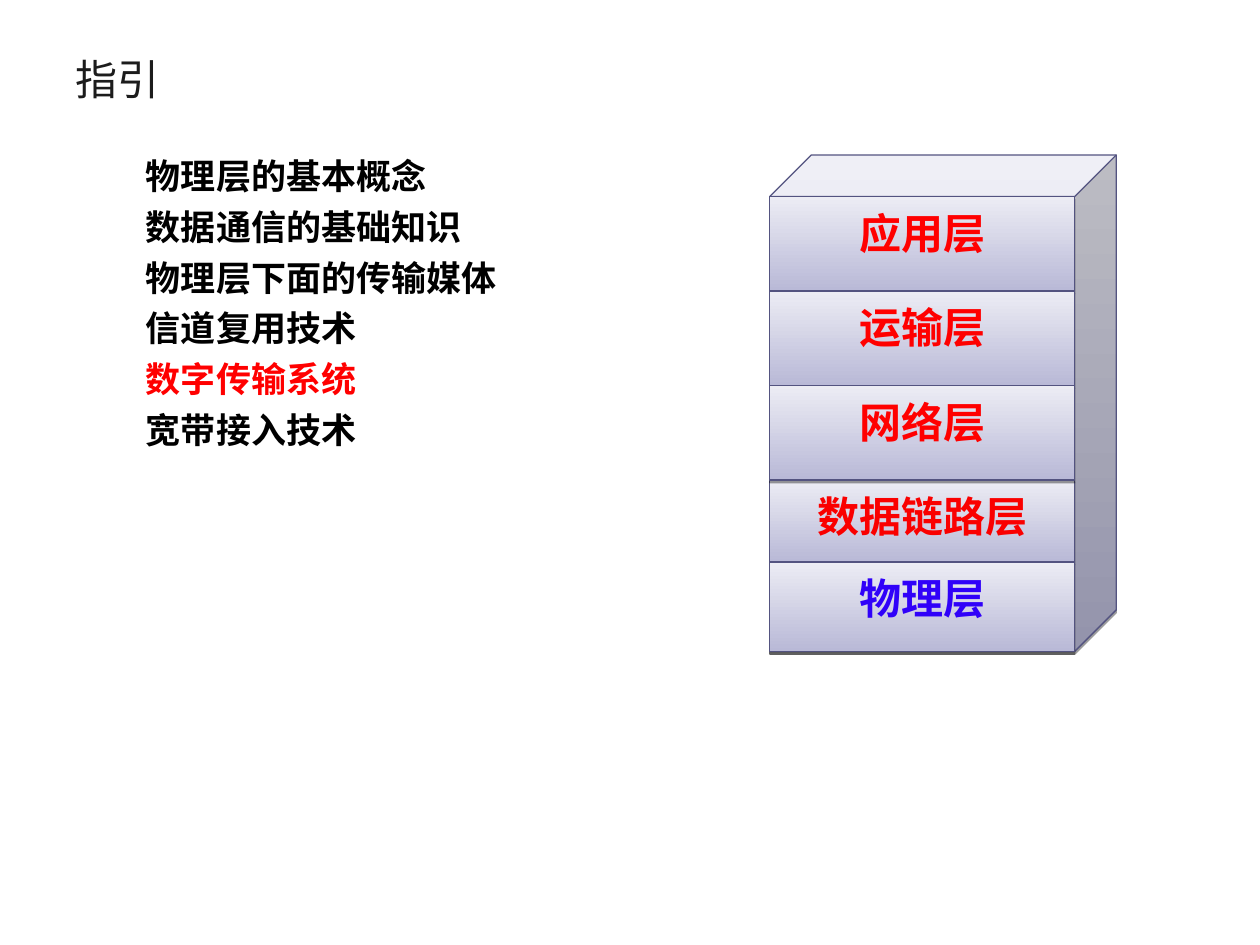
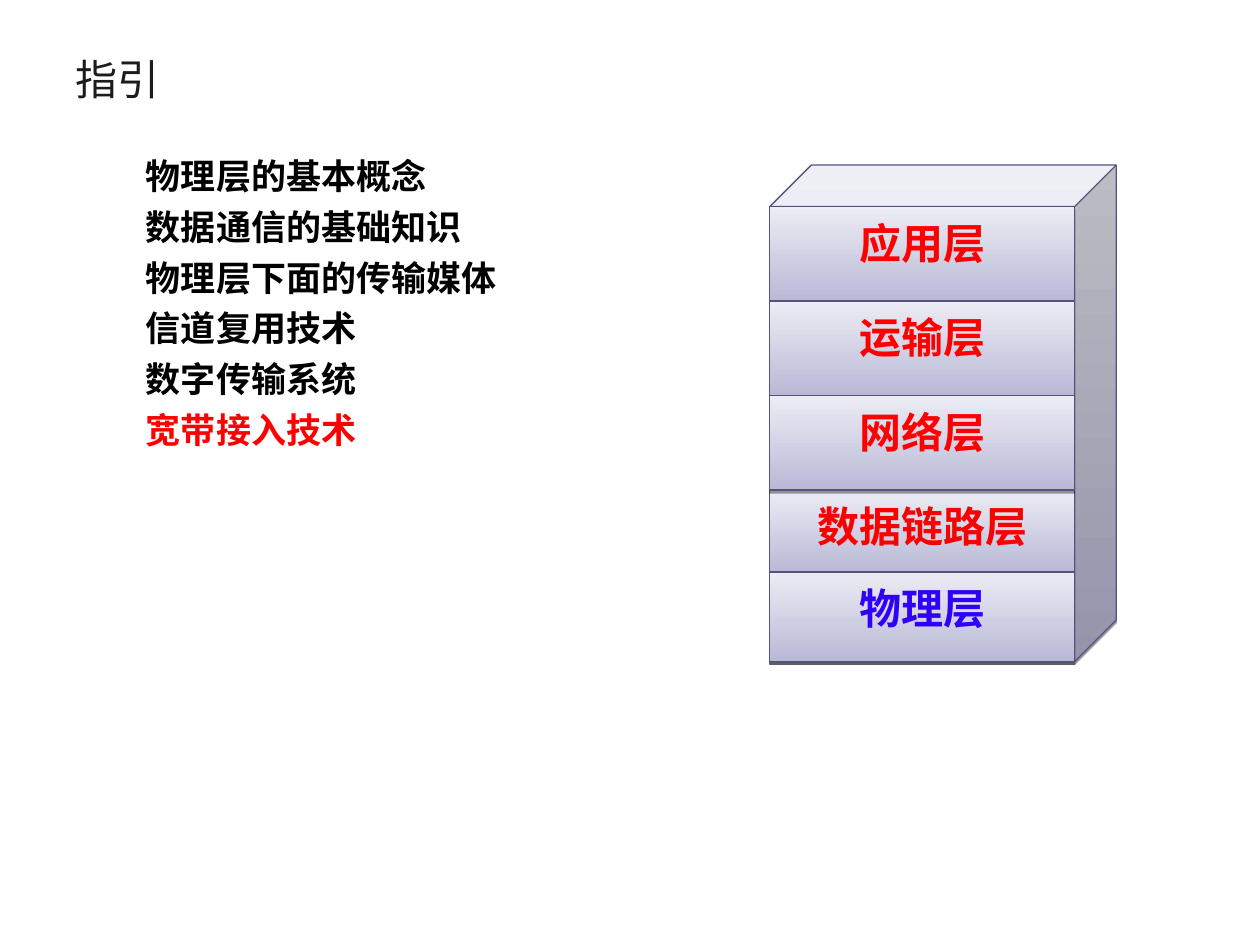
from dataclasses import dataclass

from lxml.etree import SubElement
from pptx import Presentation
from pptx.dml.color import RGBColor
from pptx.enum.shapes import MSO_CONNECTOR, MSO_SHAPE
from pptx.enum.text import MSO_ANCHOR, PP_ALIGN
from pptx.oxml.ns import qn
from pptx.util import Inches, Pt

# The slide is a grid of 100 columns by 75 rows of square cells.
CELL = Inches(0.1)
COLUMNS, ROWS = 100, 75

FONT = "Noto Sans CJK SC"
TITLE_INK = RGBColor(0x1C, 0x1C, 0x1C)
BLACK = RGBColor(0x00, 0x00, 0x00)
RED = RGBColor(0xFF, 0x00, 0x00)
LINK_RED = RGBColor(0xFA, 0x00, 0x00)
BLUE = RGBColor(0x30, 0x01, 0xF9)
OUTLINE = RGBColor(0x53, 0x53, 0x80)
LAVENDER = RGBColor(0xB9, 0xB9, 0xD7)
PALE_LAVENDER = RGBColor(0xEC, 0xEC, 0xF4)

LINE_HEIGHT = 1.2
CUBE_DEPTH = 0.12

TOPICS = ["物理层的基本概念", "数据通信的基础知识", "物理层下面的传输媒体",
          "信道复用技术", "数字传输系统", "宽带接入技术"]


@dataclass
class Box:
    """An area in grid cells."""
    left: float
    top: float
    width: float
    height: float

    def lengths(self):
        return [round(value * CELL)
                for value in (self.left, self.top, self.width, self.height)]

    def edge(self, side):
        """The two end points of one side, as lengths."""
        left, top, width, height = self.lengths()
        right, bottom = left + width, top + height
        return {"top": (left, top, right, top),
                "bottom": (left, bottom, right, bottom),
                "left": (left, top, left, bottom),
                "right": (right, top, right, bottom)}[side]


@dataclass
class Layer:
    name: str
    rows: float
    color: RGBColor
    edges: tuple


SIDES = ("left", "right")
LAYERS = [Layer("应用层", 7.5, RED, ("bottom", *SIDES)),
          Layer("运输层", 7.5, RED, ("bottom", *SIDES)),
          Layer("网络层", 7.5, RED, SIDES),
          Layer("数据链路层", 6.5, LINK_RED, ("top", *SIDES)),
          Layer("物理层", 7.1, BLUE, ())]
# The link layer lies behind the network layer, whose shadow falls on it.
DRAWING_ORDER = [0, 1, 3, 2, 4]

TITLE_BOX = Box(5, 3, 90, 6.1)
TOPICS_BOX = Box(6.7, 11.5, 85, 51.2)


def write_text(shape, lines, *, size, colors, bold=False, indent=0,
               space_before=0, align=PP_ALIGN.LEFT, anchor=MSO_ANCHOR.TOP):
    frame = shape.text_frame
    frame.word_wrap = True
    frame.vertical_anchor = anchor
    frame.margin_left = frame.margin_right = Inches(0.1)
    frame.margin_top = Inches(0.05) + Pt(size * 0.1)
    frame.margin_bottom = Inches(0.05)
    for index, (line, color) in enumerate(zip(lines, colors)):
        paragraph = frame.add_paragraph() if index else frame.paragraphs[0]
        paragraph.alignment = align
        paragraph.line_spacing = Pt(size * LINE_HEIGHT)
        paragraph.space_before = Pt(space_before if index else 0)
        paragraph._p.get_or_add_pPr().set("marL", str(indent))
        run = paragraph.add_run()
        run.text = line
        run.font.size = Pt(size)
        run.font.bold = bold
        run.font.color.rgb = color
        run.font.name = FONT
        SubElement(run._r.get_or_add_rPr(), qn("a:ea"), typeface=FONT)


def add_shadow(shape):
    """Give the shape a thin, sharp shadow straight below it."""
    shape.shadow.inherit = False
    effects = shape._element.spPr.find(qn("a:effectLst"))
    shadow = SubElement(effects, qn("a:outerShdw"), blurRad="0",
                        dist=str(Pt(1.6)), dir="5400000", rotWithShape="0")
    color = SubElement(shadow, qn("a:srgbClr"), val="000000")
    SubElement(color, qn("a:alpha"), val="38000")


def add_block(shapes, kind, box):
    block = shapes.add_shape(kind, *box.lengths())
    block.fill.gradient()
    block.fill.gradient_angle = 90
    for stop, color in zip(block.fill.gradient_stops, (LAVENDER, PALE_LAVENDER)):
        stop.color.rgb = color
    block.line.color.rgb = OUTLINE
    block.line.width = Pt(0.75)
    add_shadow(block)
    return block


def add_edge(shapes, box, side):
    edge = shapes.add_connector(MSO_CONNECTOR.STRAIGHT, *box.edge(side))
    edge.line.color.rgb = OUTLINE
    edge.line.width = Pt(0.75)
    SubElement(edge._element.spPr, qn("a:effectLst"))


def add_layer_stack(slide, box):
    """Draw the protocol layers on the front face of a cube filling the box."""
    shapes = slide.shapes.add_group_shape().shapes
    cube = add_block(shapes, MSO_SHAPE.CUBE, box)
    cube.adjustments[0] = CUBE_DEPTH

    depth = CUBE_DEPTH * box.width
    face_height = box.height - depth
    total_rows = sum(layer.rows for layer in LAYERS)
    for index in DRAWING_ORDER:
        layer = LAYERS[index]
        rows_above = sum(upper.rows for upper in LAYERS[:index])
        layer_box = Box(box.left,
                        box.top + depth + face_height * rows_above / total_rows,
                        box.width - depth,
                        face_height * layer.rows / total_rows)
        block = add_block(shapes, MSO_SHAPE.RECTANGLE, layer_box)
        write_text(block, [layer.name], size=24, colors=[layer.color],
                   bold=True, align=PP_ALIGN.CENTER)
        for side in layer.edges:
            add_edge(shapes, layer_box, side)


def add_title(slide, box, title):
    write_text(slide.shapes.add_textbox(*box.lengths()), [title], size=24,
               colors=[TITLE_INK], anchor=MSO_ANCHOR.MIDDLE)


def add_topics(slide, box, current):
    colors = [RED if topic == current else BLACK for topic in TOPICS]
    write_text(slide.shapes.add_textbox(*box.lengths()), TOPICS, size=20,
               colors=colors, bold=True, indent=Inches(0.39), space_before=5)


def add_guide_slide(presentation, current, stack_top):
    slide = presentation.slides.add_slide(presentation.slide_layouts[6])
    add_title(slide, TITLE_BOX, "指引")
    add_topics(slide, TOPICS_BOX, current)
    add_layer_stack(slide, Box(61.1, stack_top, 27.5, 39.4))


def main():
    presentation = Presentation()
    presentation.slide_width = COLUMNS * CELL
    presentation.slide_height = ROWS * CELL
    add_guide_slide(presentation, "数字传输系统", stack_top=12.3)
    add_guide_slide(presentation, "宽带接入技术", stack_top=13.1)
    presentation.save("out.pptx")


if __name__ == "__main__":
    main()
